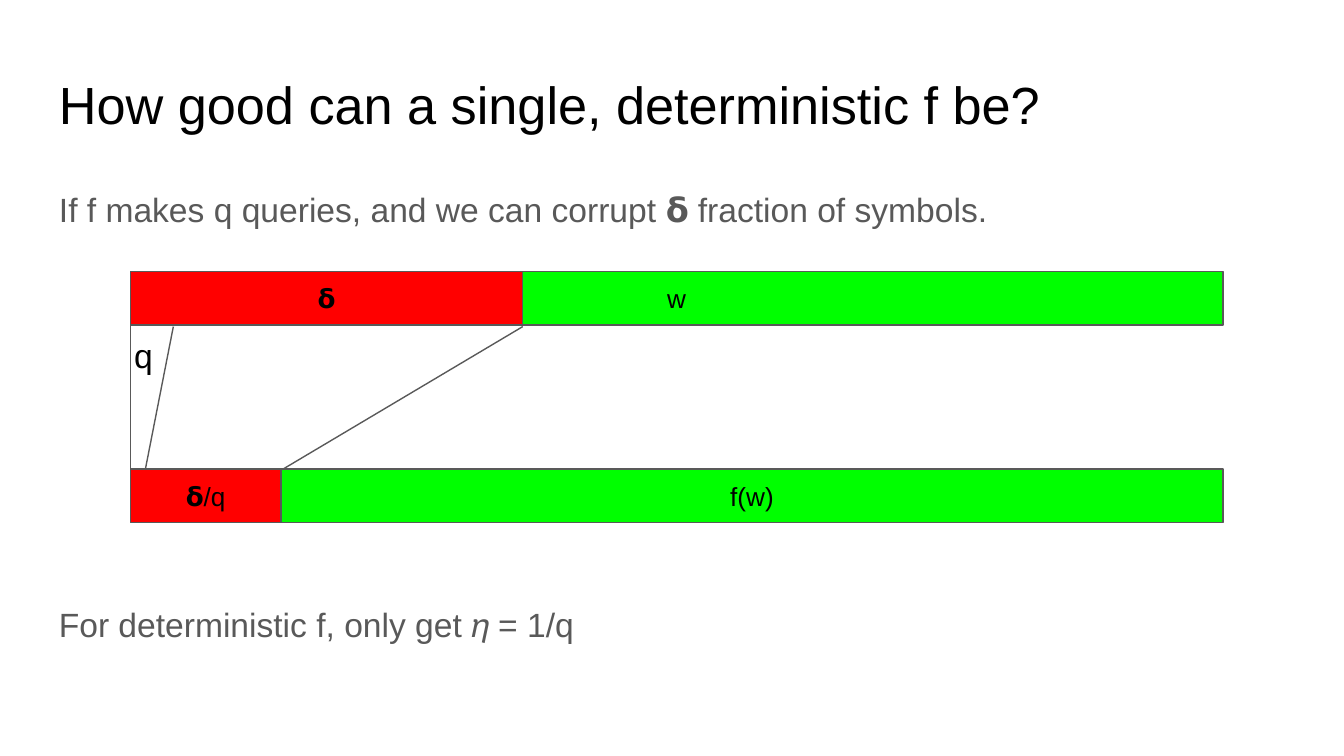
from typing import NamedTuple

from lxml.etree import SubElement
from pptx import Presentation
from pptx.dml.color import RGBColor
from pptx.enum.shapes import MSO_CONNECTOR as Connector, MSO_SHAPE as Shape
from pptx.enum.text import MSO_ANCHOR as Anchor, PP_ALIGN as Align
from pptx.oxml.ns import qn
from pptx.slide import Slide
from pptx.text.text import TextFrame
from pptx.util import Inches, Pt

COLORS = {
    "black": "000000",
    "gray": "595959",
    "corrupt": "FF0000",
    "intact": "00FF00",
}
FONT = "Arial"
LINE_WIDTH = Pt(0.75)
SLIDE_WIDTH = 10
SLIDE_HEIGHT = SLIDE_WIDTH * 9 / 16

BAR_LEFT, BAR_RIGHT, BAR_HEIGHT = 0.97, 9.1, 0.4
WORD_TOP, OUTPUT_TOP = 2.02, 3.49
WORD_SPLIT, OUTPUT_SPLIT = 3.89, 2.09
FAN_TOP, FAN_BOTTOM = 2.43, 3.5


class Label(NamedTuple):
    text: str
    left: float
    top: float
    width: float
    height: float
    size: int = 18
    color: str = "gray"
    line_spacing: float = 1.0


class Segment(NamedTuple):
    text: str
    left: float
    right: float
    top: float
    fill: str


class Link(NamedTuple):
    x1: float
    y1: float
    x2: float
    y2: float


LABELS = [
    Label("How good can a single, deterministic f be?",
          0.34, 0.49, 9.32, 0.63, 28, "black", 0.9),
    Label("If f makes q queries, and we can corrupt 𝝳 fraction of symbols.",
          0.34, 1.26, 9.32, 0.68, line_spacing=1.15),
    Label("q", 0.9, 2.39, 0.52, 0.5, color="black"),
    Label("For deterministic f, only get 𝜂 = 1/q", 0.34, 4.39, 5, 0.5),
]
WORD_SEGMENTS = [
    Segment("w", BAR_LEFT, BAR_RIGHT, WORD_TOP, "intact"),
    Segment("𝝳", BAR_LEFT, WORD_SPLIT, WORD_TOP, "corrupt"),
]
OUTPUT_SEGMENTS = [
    Segment("𝝳/q", BAR_LEFT, OUTPUT_SPLIT, OUTPUT_TOP, "corrupt"),
    Segment("f(w)", OUTPUT_SPLIT, BAR_RIGHT, OUTPUT_TOP, "intact"),
]
LINKS = [
    Link(BAR_LEFT, OUTPUT_TOP + BAR_HEIGHT / 2, BAR_LEFT, WORD_TOP + BAR_HEIGHT / 2),
    Link(1.08, FAN_BOTTOM, 1.29, FAN_TOP),
    Link(OUTPUT_SPLIT, FAN_BOTTOM, WORD_SPLIT, FAN_TOP),
]


def rgb(name: str) -> RGBColor:
    return RGBColor.from_string(COLORS[name])


def write_text(frame: TextFrame, text: str, size: int, color: str) -> None:
    frame.word_wrap = True
    frame.margin_left = frame.margin_right = Inches(0.1)
    frame.margin_top = frame.margin_bottom = Inches(0.1)
    run = frame.paragraphs[0].add_run()
    run.text = text
    run.font.name = FONT
    run.font.size = Pt(size)
    run.font.color.rgb = rgb(color)


def draw_label(slide: Slide, label: Label) -> None:
    box = slide.shapes.add_textbox(Inches(label.left), Inches(label.top),
                                   Inches(label.width), Inches(label.height))
    write_text(box.text_frame, label.text, label.size, label.color)
    box.text_frame.paragraphs[0].line_spacing = label.line_spacing


def draw_segment(slide: Slide, segment: Segment) -> None:
    shape = slide.shapes.add_shape(
        Shape.RECTANGLE, Inches(segment.left), Inches(segment.top),
        Inches(segment.right - segment.left), Inches(BAR_HEIGHT))
    shape.shadow.inherit = False
    shape.fill.solid()
    shape.fill.fore_color.rgb = rgb(segment.fill)
    shape.line.color.rgb = rgb("gray")
    shape.line.width = LINE_WIDTH
    write_text(shape.text_frame, segment.text, 14, "black")
    shape.text_frame.vertical_anchor = Anchor.MIDDLE
    shape.text_frame.paragraphs[0].alignment = Align.CENTER


def draw_link(slide: Slide, link: Link) -> None:
    connector = slide.shapes.add_connector(
        Connector.STRAIGHT, Inches(link.x1), Inches(link.y1),
        Inches(link.x2), Inches(link.y2))
    connector.line.color.rgb = rgb("gray")
    connector.line.width = LINE_WIDTH
    SubElement(connector._element.spPr, qn("a:effectLst"))


def main() -> None:
    presentation = Presentation()
    presentation.slide_width = Inches(SLIDE_WIDTH)
    presentation.slide_height = Inches(SLIDE_HEIGHT)
    slide = presentation.slides.add_slide(presentation.slide_layouts[6])

    for segment in WORD_SEGMENTS:
        draw_segment(slide, segment)
    for link in LINKS:
        draw_link(slide, link)
    for segment in OUTPUT_SEGMENTS:
        draw_segment(slide, segment)
    for label in LABELS:
        draw_label(slide, label)

    presentation.save("out.pptx")


if __name__ == "__main__":
    main()
